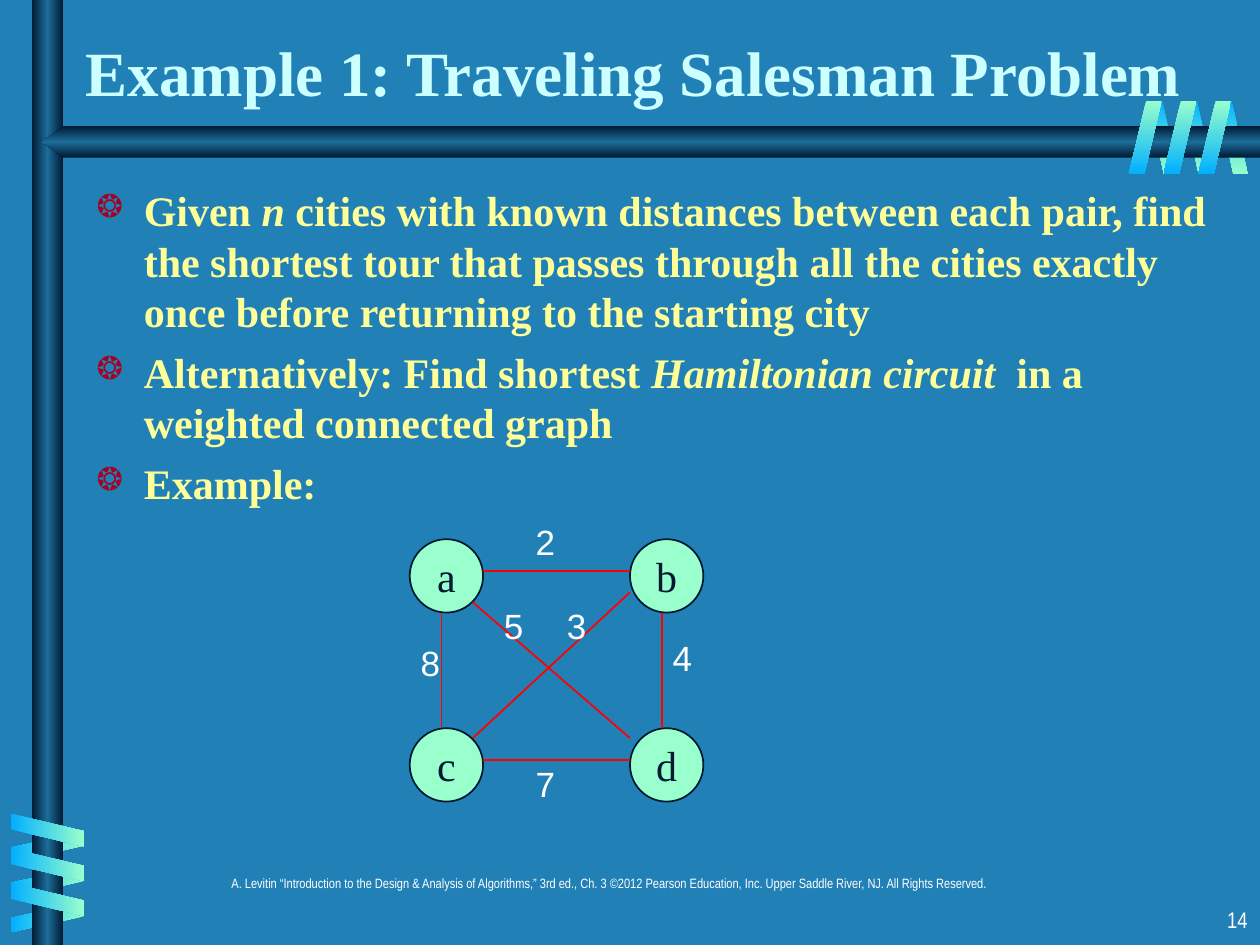
from copy import deepcopy
from dataclasses import dataclass

from lxml import etree
from pptx import Presentation
from pptx.dml.color import RGBColor
from pptx.enum.shapes import MSO_CONNECTOR, MSO_SHAPE
from pptx.enum.text import MSO_ANCHOR, PP_ALIGN
from pptx.oxml.ns import qn
from pptx.util import Cm, Pt

LINE = MSO_CONNECTOR.STRAIGHT
RECT, OVAL, SLANT = MSO_SHAPE.RECTANGLE, MSO_SHAPE.OVAL, MSO_SHAPE.PARALLELOGRAM
TOP, MIDDLE, BOTTOM = MSO_ANCHOR.TOP, MSO_ANCHOR.MIDDLE, MSO_ANCHOR.BOTTOM
LEFT, CENTER, RIGHT = PP_ALIGN.LEFT, PP_ALIGN.CENTER, PP_ALIGN.RIGHT


@dataclass(frozen=True)
class Theme:
    back: str = "2181B7"
    navy: str = "001932"
    steel: str = "1C6D9A"
    sky: str = "01B0FF"
    mint: str = "99FFCC"
    title: str = "CCFFFF"
    body: str = "FFFF99"
    mark: str = "A50021"
    edge: str = "FF0000"
    white: str = "FFFFFF"
    serif: str = "Times New Roman"
    sans: str = "Arial"
    thin: str = "Arial Narrow"
    head: float = 36
    text: float = 24
    label: float = 20
    page: float = 12.9
    note: float = 7.7


T = Theme()

# Each run is (words, italic)
POINTS = [
    [("Given ", False), ("n", True),
     (" cities with known distances between each pair, find the shortest tour "
      "that passes through all the cities exactly once before returning to the "
      "starting city", False)],
    [("Alternatively: Find shortest ", False), ("Hamiltonian circuit", True),
     ("  in a weighted connected graph", False)],
    [("Example:", False)],
]
SOURCE = ("A. Levitin “Introduction to the Design & Analysis of Algorithms,” 3rd ed., "
          "Ch. 3 ©2012 Pearson Education, Inc. Upper Saddle River, NJ. "
          "All Rights Reserved.")


def rgb(code):
    return RGBColor.from_string(code)


def place(*box):
    return [Cm(n) for n in box]


def style(font, size, face, color, bold=False):
    font.size, font.name, font.bold = Pt(size), face, bold
    font.color.rgb = rgb(color)


def blend(shape, codes, angle):
    """Fill with evenly spaced colours; the clockwise angle ignores rotation."""
    shape.shadow.inherit = False
    shape.line.fill.background()
    fill = shape.fill
    fill.gradient()
    grad = shape._element.spPr.find(qn("a:gradFill"))
    grad.set("rotWithShape", "0")
    stops = grad.find(qn("a:gsLst"))
    while len(stops) < len(codes):
        stops.append(deepcopy(stops[0]))
    for i, (stop, code) in enumerate(zip(fill.gradient_stops, codes)):
        stop.color.rgb = rgb(code)
        stop.position = i / (len(codes) - 1)
    fill.gradient_angle = -angle % 360


def coil(slide, box, step, codes, angle, turn=0, flip=False):
    """Draw three slanted bands, the first in box, each moved on by step."""
    x, y, w, h = box
    for i in range(3):
        band = slide.shapes.add_shape(
            SLANT, *place(x + i * step[0], y + i * step[1], w, h))
        band.adjustments[0] = 0.53
        band.rotation = turn
        if flip:
            band._element.spPr.xfrm.set("flipH", "1")
        blend(band, codes, angle)


def bars(slide, x, y, wide, high):
    """Draw the upright bar and the pointed bar that meets it."""
    steel = (T.navy, T.steel, T.navy)
    post = slide.shapes.add_shape(RECT, *place(x, 0, 0.64, high))
    blend(post, steel, 0)
    tip, neck, size = x + 0.2, x + 0.64, 0.64
    path = slide.shapes.build_freeform(Cm(wide), Cm(y))
    path.add_line_segments([place(*p) for p in (
        (neck, y), (tip, y + size / 2), (neck, y + size), (wide, y + size))])
    blend(path.convert_to_shape(), steel, 90)


def frame(slide, wide, high):
    """Draw the bars with a coil around each."""
    down, along = (T.sky, T.mint), (T.mint, T.sky)
    coil(slide, (23.14, 2.03, 0.61, 1.47), (0.7, 0), down, 90, 180, True)
    coil(slide, (0.66, 16.33, 0.61, 1.47), (0, 0.71), along, 0, 90, True)
    bars(slide, 0.64, 2.54, wide, high)
    coil(slide, (0.63, 16, 0.66, 1.47), (0, 0.7), down, 0, 270)
    coil(slide, (22.76, 2.03, 0.66, 1.47), (0.7, 0), along, 90)


def write(slide, box, words, size, face, color, align=LEFT, anchor=TOP,
          bold=False, wrap=True, space=1):
    frame = slide.shapes.add_textbox(*place(*box)).text_frame
    frame.text = words
    frame.word_wrap, frame.vertical_anchor = wrap, anchor
    para = frame.paragraphs[0]
    para.alignment, para.line_spacing = align, space
    style(para.runs[0].font, size, face, color, bold)


def bullet(para):
    props = para._p.get_or_add_pPr()
    props.set("marL", str(Cm(0.95)))
    props.set("indent", str(Cm(-0.95)))
    tint = etree.SubElement(props, qn("a:buClr"))
    etree.SubElement(tint, qn("a:srgbClr")).set("val", T.mark)
    etree.SubElement(props, qn("a:buSzPct")).set("val", "75000")
    etree.SubElement(props, qn("a:buChar")).set("char", "❂")


def points(slide, box):
    frame = slide.shapes.add_textbox(*place(*box)).text_frame
    frame.word_wrap = True
    for i, parts in enumerate(POINTS):
        para = frame.add_paragraph() if i else frame.paragraphs[0]
        bullet(para)
        if i:
            para.space_before = Pt(6)
        for words, slope in parts:
            run = para.add_run()
            run.text = words
            style(run.font, T.text, T.serif, T.body, True)
            run.font.italic = slope


def graph(slide, x, y):
    """Draw the weighted graph with its top left corner at x, y."""
    size, across, down = 1.48, 4.44, 3.81
    for i, name in enumerate("abcd"):
        row, col = divmod(i, 2)
        node = slide.shapes.add_shape(
            OVAL, *place(x + col * across, y + row * down, size, size))
        node.shadow.inherit = False
        node.fill.solid()
        node.fill.fore_color.rgb = rgb(T.mint)
        node.line.color.rgb = rgb(T.navy)
        node.line.width = Pt(1)
        text = node.text_frame
        text.text = name
        text.word_wrap, text.vertical_anchor = False, MIDDLE
        text.paragraphs[0].alignment = CENTER
        style(text.paragraphs[0].runs[0].font, T.text, T.serif, T.navy)

    side, near, far = 0.64, 1.27, 4.01
    # Weight, line from and to, label corner
    edges = [
        ("2", (size, side, across, side), (2.29, -0.51)),
        ("8", (side, size, side, down), (-0.03, 1.93)),
        ("7", (size, down + side, across, down + side), (2.29, 4.37)),
        ("4", (across + side, size, across + side, down), (5.05, 1.83)),
        ("5", (near, near, across, far), (1.65, 1.19)),
        ("3", (across, 1.07, near, far), (2.92, 1.19)),
    ]
    for _, (x1, y1, x2, y2), _ in edges:
        edge = slide.shapes.add_connector(
            LINE, *place(x + x1, y + y1, x + x2, y + y2))
        edge.line.color.rgb = rgb(T.edge)
        edge.line.width = Pt(1)
        etree.SubElement(edge._element.spPr, qn("a:effectLst"))
    for weight, _, (dx, dy) in edges:
        write(slide, (x + dx, y + dy, 0.89, 1.12), weight, T.label, T.sans,
              T.white, CENTER, wrap=False)


def main():
    deck = Presentation()
    wide, high = 25.4, 19.05
    deck.slide_width, deck.slide_height = place(wide, high)
    slide = deck.slides.add_slide(deck.slide_layouts[6])
    slide.background.fill.solid()
    slide.background.fill.fore_color.rgb = rgb(T.back)
    frame(slide, wide, high)
    write(slide, (3.38, 17.58, 17.78, 0.84), SOURCE, T.note, T.thin, T.white,
          CENTER, space=0.8)
    write(slide, (20.12, 18.21, 5.28, 0.84), "14", T.page, T.thin, T.white,
          RIGHT, space=0.9)
    write(slide, (1.48, 0.43, 23.92, 1.9), "Example 1: Traveling Salesman Problem",
          T.head, T.serif, T.title, anchor=BOTTOM, bold=True)
    points(slide, (1.7, 3.6, 23.06, 13.61))
    graph(slide, 8.26, 10.87)
    deck.save("out.pptx")


if __name__ == "__main__":
    main()
